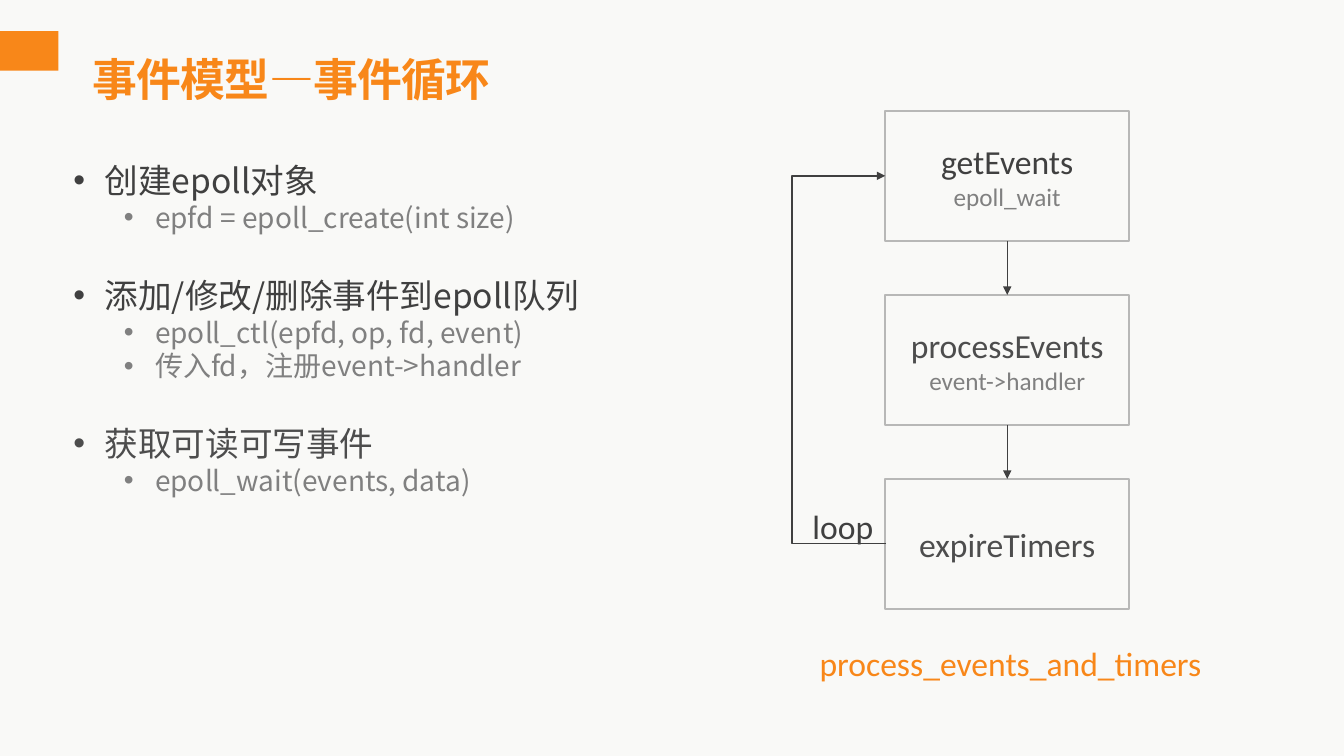
from dataclasses import dataclass

from lxml import etree
from pptx import Presentation
from pptx.dml.color import RGBColor
from pptx.enum.shapes import MSO_CONNECTOR, MSO_SHAPE
from pptx.enum.text import MSO_ANCHOR, PP_ALIGN
from pptx.oxml.ns import qn
from pptx.util import Emu, Inches, Pt

RECT = MSO_SHAPE.RECTANGLE
STRAIGHT, ELBOW = MSO_CONNECTOR.STRAIGHT, MSO_CONNECTOR.ELBOW
TOP, MIDDLE, BOTTOM = MSO_ANCHOR.TOP, MSO_ANCHOR.MIDDLE, MSO_ANCHOR.BOTTOM
LEFT, CENTER = PP_ALIGN.LEFT, PP_ALIGN.CENTER
SIDE_TOP, SIDE_BOTTOM = 0, 2


@dataclass(frozen=True)
class Theme:
    paper: str = "F9F9F7"
    accent: str = "F88719"
    dark: str = "404040"
    body: str = "4D4D4D"
    muted: str = "808080"
    border: str = "B8B8B7"
    latin: str = "Calibri"
    cjk: str = "Noto Sans CJK SC"
    title: int = 32
    large: int = 24
    medium: int = 20
    small: int = 18


@dataclass(frozen=True)
class Step:
    name: str
    detail: str
    color: str


@dataclass(frozen=True)
class Topic:
    heading: str
    color: str
    items: tuple[str, ...]


T = Theme()
STEPS = (
    Step("getEvents", "epoll_wait", T.dark),
    Step("processEvents", "event->handler", T.body),
    Step("expireTimers", "", T.body),
)
TOPICS = (
    Topic("创建epoll对象", T.dark, ("epfd = epoll_create(int size)",)),
    Topic("添加/修改/删除事件到epoll队列", T.dark,
          ("epoll_ctl(epfd, op, fd, event)", "传入fd，注册event->handler")),
    Topic("获取可读可写事件", T.body, ("epoll_wait(events, data)",)),
)

# Grid of square cells, ten to the inch
CELL = Inches(0.1)
STEP_X, STEP_Y, STEP_W, STEP_H, STEP_PITCH = 87.8, 11, 24.2, 12.9, 18.25
LOOP_X = 78.4
INDENT, SUB_INDENT = 3.1, 8.1
TOPIC_GAP = 29


def cells(n: float) -> Emu:
    return Emu(round(n * CELL))


def rgb(color: str) -> RGBColor:
    return RGBColor.from_string(color)


def add_text(tf, text: str, *, size: int, color: str, font: str = T.latin,
             bold: bool = False, align=LEFT, level: int = 0, indent: float = 0,
             before: float = 0, line: float | None = None, tracking: int = 0) -> None:
    """Write text into the first empty paragraph, or into a new one."""
    p = tf.paragraphs[0] if not tf.paragraphs[0].runs else tf.add_paragraph()
    p.alignment, p.level = align, level
    if before:
        p.space_before = Pt(before)
    if line:
        p.line_spacing = line
    if indent:
        pPr = p._p.get_or_add_pPr()
        pPr.set("marL", str(cells(indent)))
        pPr.set("indent", str(-cells(INDENT)))
        etree.SubElement(pPr, qn("a:buFont"), typeface="Arial")
        etree.SubElement(pPr, qn("a:buChar"), char="•")
    r = p.add_run()
    r.text = text
    r.font.size, r.font.bold, r.font.name = Pt(size), bold, font
    r.font.color.rgb = rgb(color)
    rPr = r._r.get_or_add_rPr()
    etree.SubElement(rPr, qn("a:ea"), typeface=font)
    if tracking:
        rPr.set("spc", str(tracking))


def add_box(s, x: float, y: float, w: float, h: float, anchor=TOP):
    tf = s.shapes.add_textbox(cells(x), cells(y), cells(w), cells(h)).text_frame
    tf.word_wrap, tf.vertical_anchor = True, anchor
    return tf


def add_rect(s, x: float, y: float, w: float, h: float, fill: str, border: str = ""):
    sp = s.shapes.add_shape(RECT, cells(x), cells(y), cells(w), cells(h))
    sp.shadow.inherit = False
    sp.fill.solid()
    sp.fill.fore_color.rgb = rgb(fill)
    if border:
        sp.line.color.rgb = rgb(border)
        sp.line.width = Pt(1.25)
    else:
        sp.line.fill.background()
    return sp


def add_arrow(s, kind, x1: float, y1: float, x2: float, y2: float):
    cx = s.shapes.add_connector(kind, cells(x1), cells(y1), cells(x2), cells(y2))
    cx.line.color.rgb = rgb(T.dark)
    cx.line.width = Pt(1)
    etree.SubElement(cx.line._get_or_add_ln(), qn("a:tailEnd"), type="triangle")
    etree.SubElement(cx._element.spPr, qn("a:effectLst"))
    return cx


def add_steps(s) -> None:
    boxes = []
    for i, step in enumerate(STEPS):
        sp = add_rect(s, STEP_X, STEP_Y + i * STEP_PITCH, STEP_W, STEP_H, T.paper, T.border)
        tf = sp.text_frame
        tf.vertical_anchor = MIDDLE
        add_text(tf, step.name, size=T.large, color=step.color, align=CENTER)
        if step.detail:
            add_text(tf, step.detail, size=T.small, color=T.muted, align=CENTER)
        boxes.append(sp)

    # Arrows down from step to step
    for upper, lower in zip(boxes, boxes[1:]):
        cx = add_arrow(s, STRAIGHT, 0, 0, 1, 1)
        cx.begin_connect(upper, SIDE_BOTTOM)
        cx.end_connect(lower, SIDE_TOP)

    # Loop from the last step back to the first
    first_y = STEP_Y + STEP_H / 2
    last_y = first_y + (len(STEPS) - 1) * STEP_PITCH
    start_x = STEP_X + 0.1
    cx = add_arrow(s, ELBOW, start_x, last_y, STEP_X, first_y)
    bend = round((start_x - LOOP_X) / (start_x - STEP_X) * 100000)
    guides = cx._element.spPr.find(qn("a:prstGeom")).get_or_add_avLst()
    etree.SubElement(guides, qn("a:gd"), name="adj1", fmla=f"val {bend}")


def add_topics(s) -> None:
    tf = add_box(s, 6.3, 15.4, 60.5, 34.7)
    for i, topic in enumerate(TOPICS):
        add_text(tf, topic.heading, size=T.large, color=topic.color, font=T.cjk,
                 indent=INDENT, before=TOPIC_GAP if i else 0)
        for item in topic.items:
            add_text(tf, item, size=T.medium, color=T.muted, font=T.cjk,
                     level=1, indent=SUB_INDENT)


def main() -> None:
    prs = Presentation()
    prs.slide_width, prs.slide_height = Inches(13.33), Inches(7.5)
    s = prs.slides.add_slide(prs.slide_layouts[6])
    s.background.fill.solid()
    s.background.fill.fore_color.rgb = rgb(T.paper)

    # Title and its marker
    add_rect(s, 0, 3.1, 5.8, 3.9, T.accent)
    add_text(add_box(s, 8.2, 4.6, 110, 6.4, BOTTOM), "事件模型—事件循环", size=T.title,
             color=T.accent, font=T.cjk, bold=True, line=0.85, tracking=-50)

    # Flow on the right, topics on the left
    add_steps(s)
    add_topics(s)

    # Labels of the flow
    add_text(add_box(s, 80.3, 63.3, 41.9, 5), "process_events_and_timers",
             size=T.large, color=T.accent)
    add_text(add_box(s, 79.6, 49.7, 10.5, 5), "loop", size=T.large, color=T.dark)

    prs.save("out.pptx")


if __name__ == "__main__":
    main()
